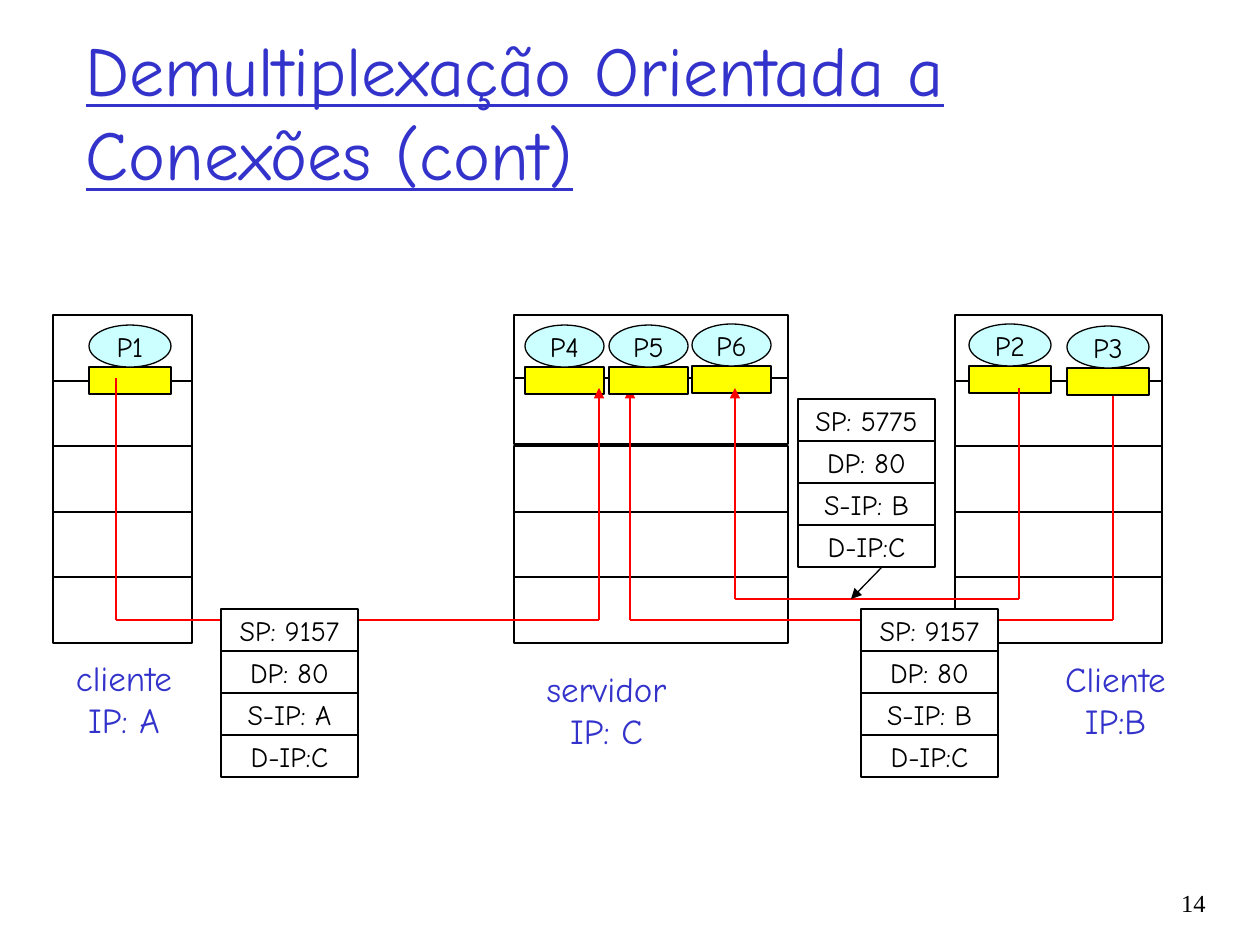
import lxml.etree
import pptx
import pptx.util
import pptx.dml.color
import pptx.enum.shapes
import pptx.enum.text
import pptx.oxml.ns

SCALE = 914400 / 126
FONT = "Comic Neue"
BLUE, BLACK, RED, WHITE = "3333CC", "000000", "FF0000", "FFFFFF"
RECT = pptx.enum.shapes.MSO_SHAPE.RECTANGLE
OVAL = pptx.enum.shapes.MSO_SHAPE.OVAL
ALIGN = pptx.enum.text.PP_ALIGN
MIDDLE = pptx.enum.text.MSO_ANCHOR.MIDDLE
qn = pptx.oxml.ns.qn


def px(*nums):
    return [round(n * SCALE) for n in nums]


def color(code):
    return pptx.dml.color.RGBColor.from_string(code)


def write(shape, text, size, code, align=ALIGN.CENTER, font=FONT):
    frame = shape.text_frame
    frame.text = text
    frame.word_wrap = False
    for para in frame.paragraphs:
        para.alignment = align
        para.font.size = pptx.util.Pt(size)
        para.font.name = font
        para.font.color.rgb = color(code)


def box(kind, x, y, w, h, fill, text=""):
    shape = shapes.add_shape(kind, *px(x, y, w, h))
    shape.shadow.inherit = False
    shape.fill.solid()
    shape.fill.fore_color.rgb = color(fill)
    shape.line.color.rgb = color(BLACK)
    shape.line.width = pptx.util.Pt(0.75)
    if text:
        write(shape, text, 16, BLACK)
        shape.text_frame.vertical_anchor = MIDDLE


def line(x1, y1, x2, y2, code=RED, width=1.5, arrow=False):
    link = shapes.add_connector(
        pptx.enum.shapes.MSO_CONNECTOR.STRAIGHT, *px(x1, y1, x2, y2))
    link.line.color.rgb = color(code)
    link.line.width = pptx.util.Pt(width)
    props = link._element.spPr
    if arrow:
        lxml.etree.SubElement(props.find(qn("a:ln")), qn("a:tailEnd"), type="triangle")
    lxml.etree.SubElement(props, qn("a:effectLst"))


def port(name, x, y, w):
    """Draw a process oval standing on its socket."""
    box(RECT, x, y + 42, w, 27, "FFFF00")
    box(OVAL, x, y, w, 42, "CCFFFF", name)


deck = pptx.Presentation()
deck.slide_width, deck.slide_height = px(1260, 945)
slide = deck.slides.add_slide(deck.slide_layouts[5])
shapes = slide.shapes

title = shapes.title
title.left, title.top, title.width, title.height = px(73, 32, 1071, 158)
write(title, "Demultiplexação Orientada a Conexões (cont)", 40, BLUE, ALIGN.LEFT)
title.text_frame.word_wrap = True
title.text_frame.vertical_anchor = MIDDLE
title.text_frame.paragraphs[0].font.underline = True

# Protocol stacks of the three hosts
ROWS = [315, 381, 446, 512, 577]
for x, w, tops in [
    (53, 139, ROWS),
    (514, 274, [315, 378] + ROWS[2:]),
    (955, 207, ROWS),
]:
    for top in tops:
        box(RECT, x, top, w, 66, WHITE)

# Connections, with the sockets that lie under or over them
for name, x, y, w in [("P1", 89, 325, 82), ("P2", 969, 324, 82), ("P4", 525, 325, 79)]:
    port(name, x, y, w)
line(116, 378, 116, 620)
line(116, 620, 599, 620)
line(599, 620, 599, 388, arrow=True)
line(1113, 378, 1113, 620)
line(630, 620, 1113, 620)
line(630, 620, 630, 388, arrow=True)
for name, x, y, w in [("P5", 609, 325, 79), ("P6", 692, 324, 79), ("P3", 1067, 326, 82)]:
    port(name, x, y, w)
line(1019, 388, 1019, 599)
line(735, 599, 1019, 599)
line(735, 599, 735, 388, arrow=True)

# Segment headers
for x, y, source, host in [
    (221, 609, "9157", "A"),
    (861, 609, "9157", "B"),
    (798, 399, "5775", "B"),
]:
    fields = [f"SP: {source}", "DP: 80", f"S-IP: {host}", "D-IP:C"]
    for row, field in enumerate(fields):
        box(RECT, x, y + 42 * row, 137, 42, WHITE, field)
line(882, 567, 851, 599, BLACK, 0.75, arrow=True)

for text, x, y, w in [
    ("cliente\nIP: A", 63, 650, 122),
    ("servidor\nIP: C", 534, 661, 145),
    ("Cliente\nIP:B", 1052, 651, 127),
]:
    write(shapes.add_textbox(*px(x, y, w, 97)), text, 20, BLUE)

number = shapes.add_textbox(*px(1125, 882, 93, 63))
write(number, "14", 14, BLACK, ALIGN.RIGHT, "Times New Roman")
number.text_frame.word_wrap = True

deck.save("out.pptx")
